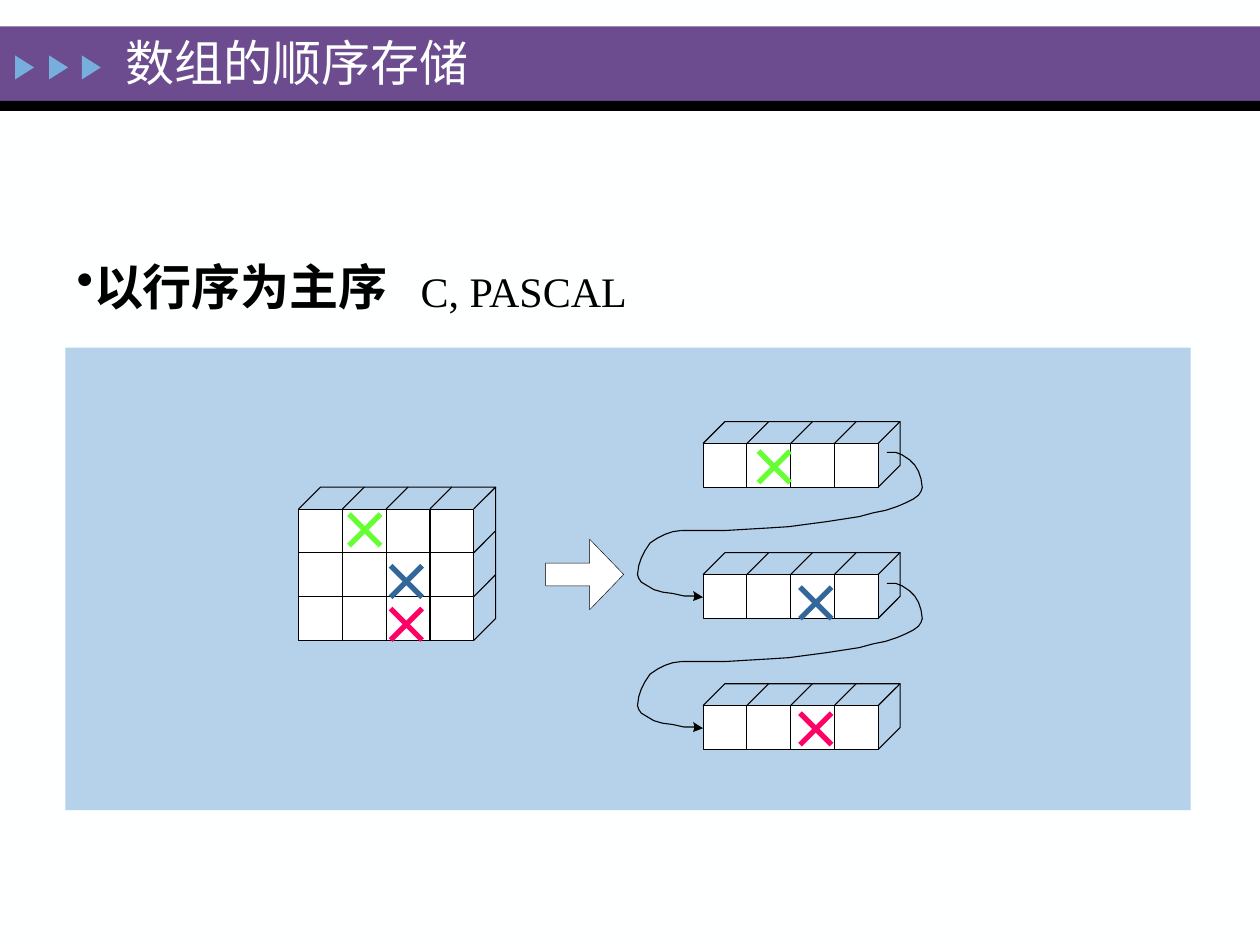
from dataclasses import dataclass

from lxml import etree
from pptx import Presentation
from pptx import util as u
from pptx.dml.color import RGBColor
from pptx.enum import shapes, text
from pptx.oxml.ns import qn

FONT = "Times New Roman"
BLACK, WHITE, PAPER = "000000", "FFFFFF", "FEFFFF"
COLS, CELL = 4, 1.39 / 4
DEPTH = CELL / 2
THIN = 0.63
STEP = 1.04
Dots = list[tuple[float, float]]

CURVE: Dots = [
    (7.04, 3.59), (7.11, 3.59), (7.16, 3.61), (7.22, 3.65), (7.26, 3.69),
    (7.29, 3.74), (7.31, 3.8), (7.32, 3.87), (7.31, 3.9), (7.29, 3.93),
    (7.25, 3.96), (7.19, 3.99), (7.12, 4.02), (7.03, 4.05), (6.93, 4.07),
    (6.82, 4.1), (6.69, 4.12), (6.56, 4.14), (6.41, 4.16), (6.26, 4.18),
    (6.1, 4.19), (5.93, 4.2), (5.76, 4.21), (5.59, 4.21), (5.41, 4.21),
]
HOOK: Dots = [
    (5.41, 4.21), (5.34, 4.22), (5.28, 4.24), (5.22, 4.27), (5.16, 4.31),
    (5.12, 4.37), (5.09, 4.43), (5.07, 4.49), (5.06, 4.56), (5.07, 4.59),
    (5.09, 4.62), (5.14, 4.65), (5.19, 4.68), (5.26, 4.7), (5.34, 4.71),
    (5.43, 4.73), (5.52, 4.73),
]
HEAD: Dots = [(5.58, 4.74), (5.5, 4.77), (5.51, 4.74), (5.51, 4.72), (5.5, 4.69)]
ARROW: Dots = [(4.95, 4.56), (4.68, 4.84), (4.68, 4.65), (4.33, 4.65),
               (4.33, 4.47), (4.68, 4.47), (4.68, 4.28)]


@dataclass
class Stack:
    x: float
    y: float
    rows: int


@dataclass
class Cross:
    x: float
    y: float
    hue: str


STACKS = [Stack(2.37, 4.04, 3)] + [Stack(5.58, 3.52 + i * STEP, 1) for i in range(3)]
MARKS = [
    Cross(3.1, 4.83, "FF0066"), Cross(6.35, 5.66, "FF0066"),
    Cross(2.77, 4.08, "66FF33"), Cross(6.02, 3.58, "66FF33"),
    Cross(3.1, 4.49, "336699"), Cross(6.35, 4.66, "336699"),
]


def tint(hue: str) -> RGBColor:
    """Turn a hex string into a colour."""
    return RGBColor.from_string(hue)


def paint(shape, fill: str | None, edge: str | None, width: float = THIN):
    """Set the fill and outline of a shape and drop its shadow."""
    shape.shadow.inherit = False
    if fill:
        shape.fill.solid()
        shape.fill.fore_color.rgb = tint(fill)
    else:
        shape.fill.background()
    if edge:
        shape.line.color.rgb = tint(edge)
        shape.line.width = u.Pt(width)
    else:
        shape.line.fill.background()
    return shape


def block(slide, x: float, y: float, w: float, h: float, fill: str,
          edge: str | None = None, kind=shapes.MSO_SHAPE.RECTANGLE):
    """Draw a preset shape."""
    shape = slide.shapes.add_shape(kind, *map(u.Inches, (x, y, w, h)))
    return paint(shape, fill, edge)


def trace(slide, dots: Dots, fill: str | None = None, edge: str | None = BLACK,
          width: float = THIN, drop: float = 0, close: bool = False) -> None:
    """Draw a freeform through the points, moved down by drop."""
    path = [(u.Inches(x), u.Inches(y + drop)) for x, y in dots]
    form = slide.shapes.build_freeform(*path[0], scale=1.0)
    form.add_line_segments(path[1:], close=close)
    paint(form.convert_to_shape(), fill, edge, width)


def stroke(slide, x1: float, y1: float, x2: float, y2: float, hue: str,
           width: float) -> None:
    """Draw a straight line without a shadow."""
    line = slide.shapes.add_connector(
        shapes.MSO_CONNECTOR.STRAIGHT, *map(u.Inches, (x1, y1, x2, y2)))
    line.line.color.rgb = tint(hue)
    line.line.width = u.Pt(width)
    etree.SubElement(line._element.spPr, qn("a:effectLst"))


def write(slide, words: str, x: float, y: float, w: float, h: float, *,
          size: float, hue: str = BLACK, bold: bool = False, wrap: bool = False,
          bullet: str = "", anchor=text.MSO_ANCHOR.TOP) -> None:
    """Place one line of text."""
    frame = slide.shapes.add_textbox(*map(u.Inches, (x, y, w, h))).text_frame
    frame.word_wrap = wrap
    frame.vertical_anchor = anchor
    para = frame.paragraphs[0]
    if bullet:
        mark = etree.SubElement(para._p.get_or_add_pPr(), qn("a:buChar"))
        mark.set("char", bullet)
    run = para.add_run()
    run.text = words
    run.font.name = FONT
    run.font.size = u.Pt(size)
    run.font.bold = bold
    run.font.color.rgb = tint(hue)


def build(slide, stack: Stack) -> None:
    """Draw rows of cells with a slanted top and right side."""
    right, back = stack.x + COLS * CELL, stack.y - DEPTH
    for col in reversed(range(COLS)):
        x = stack.x + col * CELL
        for row in range(stack.rows):
            block(slide, x, stack.y + row * CELL, CELL, CELL, WHITE, BLACK)
        lid = [(x, stack.y), (x + DEPTH, back), (x + DEPTH + CELL, back)]
        if col == COLS - 1:
            lid.append((right, stack.y))
        trace(slide, lid)
    for row in range(stack.rows):
        top = stack.y + row * CELL
        trace(slide, [(right, top + CELL), (right + DEPTH, top + CELL - DEPTH),
                      (right + DEPTH, top - DEPTH)])


def cross(slide, mark: Cross, side: float = 0.25) -> None:
    """Draw an X from two thick lines."""
    left, top, right, low = mark.x, mark.y, mark.x + side, mark.y + side
    stroke(slide, right, top, left, low, mark.hue, 3)
    stroke(slide, left, top, right, low, mark.hue, 3)


def main() -> None:
    """Build and save the slide."""
    deck = Presentation()
    deck.slide_width, deck.slide_height = u.Inches(10), u.Inches(7.5)
    slide = deck.slides.add_slide(deck.slide_layouts[6])
    slide.background.fill.solid()
    slide.background.fill.fore_color.rgb = tint(PAPER)

    block(slide, 0, 0.21, 10, 0.59, "6C4C8F")
    block(slide, 0, 0.8, 10, 0.08, BLACK)
    for x in (0.1, 0.37, 0.63):
        block(slide, x, 0.46, 0.19, 0.15, "76AEDD",
              kind=shapes.MSO_SHAPE.ISOSCELES_TRIANGLE).rotation = 90

    write(slide, "以行序为主序", 0.51, 1.99, 2.68, 0.57, size=28, bold=True, bullet="•")
    write(slide, "C, PASCAL", 3.24, 2.06, 1.87, 0.5, size=24)

    block(slide, 0.52, 2.76, 8.93, 3.67, "B6D2EA")
    for stack in STACKS:
        build(slide, stack)
    trace(slide, ARROW, WHITE, width=0.25, close=True)
    for drop in (0, STEP):
        trace(slide, CURVE, drop=drop)
        trace(slide, HOOK, drop=drop)
        trace(slide, HEAD, BLACK, None, drop=drop, close=True)
    for mark in MARKS:
        cross(slide, mark)

    write(slide, "数组的顺序存储", 0.9, 0.21, 5.82, 0.57, size=28, hue=PAPER,
          wrap=True, anchor=text.MSO_ANCHOR.MIDDLE)
    deck.save("out.pptx")


if __name__ == "__main__":
    main()
